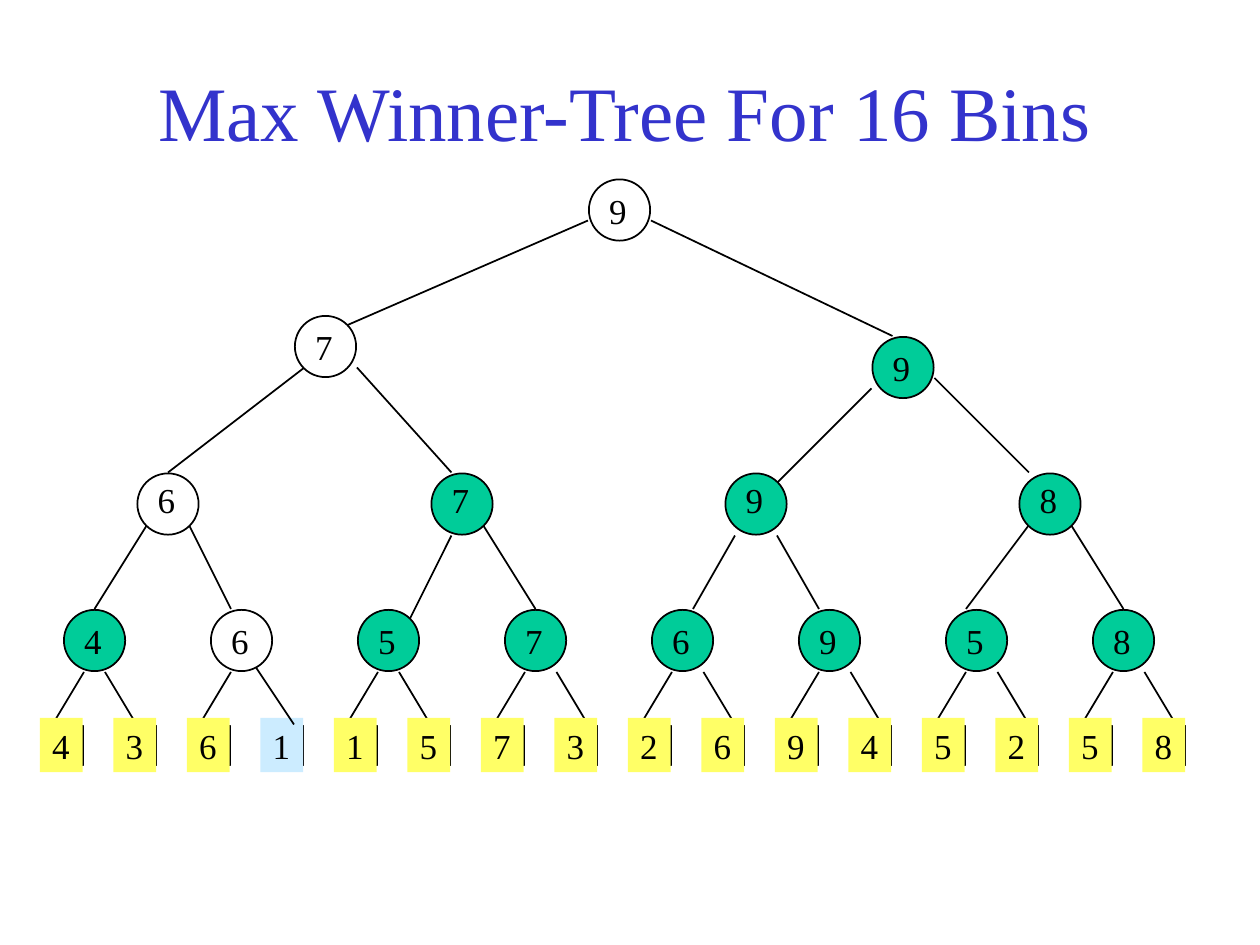
from typing import NamedTuple

from lxml import etree
from pptx import Presentation
from pptx.dml.color import RGBColor
from pptx.enum.shapes import MSO_CONNECTOR, MSO_SHAPE
from pptx.enum.text import MSO_ANCHOR, MSO_AUTO_SIZE, PP_ALIGN
from pptx.oxml.ns import qn
from pptx.util import Pt

OVAL, RECT = MSO_SHAPE.OVAL, MSO_SHAPE.RECTANGLE
STRAIGHT = MSO_CONNECTOR.STRAIGHT
TOP, MIDDLE = MSO_ANCHOR.TOP, MSO_ANCHOR.MIDDLE
LEFT, CENTER = PP_ALIGN.LEFT, PP_ALIGN.CENTER
GROW = MSO_AUTO_SIZE.SHAPE_TO_FIT_TEXT
FONT = "Times New Roman"
BLACK, WHITE, BLUE = "000000", "FFFFFF", "3333CC"
GREEN, YELLOW, SKY = "00CC99", "FFFF66", "CCECFF"
NODE, BIN, TAG_W, TAG_H = 35, 23, 24.5, 31
BINS = "4361157326945258"
CHANGED = 3


class Node(NamedTuple):
    text: str
    x: float
    y: float
    fill: str
    drop: float = 2


class Edge(NamedTuple):
    x1: float
    y1: float
    x2: float
    y2: float


NODES = [
    Node("9", 336.5, 102.5, WHITE),
    Node("7", 168.5, 180.5, WHITE),
    Node("9", 498.5, 192.5, GREEN),
]
NODES += [
    Node(text, 78.5 + 168 * i, 270.5, GREEN if i else WHITE, -0.5)
    for i, text in enumerate("6798")
]
NODES += [
    Node(text, 36.5 + 84 * i, 348.5, WHITE if i == 1 else GREEN)
    for i, text in enumerate("46576958")
]

EDGES = [
    Edge(336, 126, 198, 186), Edge(372, 126, 510, 192),
    Edge(174, 210, 96, 270), Edge(204, 210, 258, 270),
    Edge(498, 222, 444, 276), Edge(534, 216, 588, 270),
    Edge(84, 300, 54, 348), Edge(108, 300, 132, 348),
    Edge(258, 306, 234, 354), Edge(276, 300, 306, 348),
    Edge(420, 306, 396, 348), Edge(444, 306, 468, 348),
    Edge(588, 300, 552, 348), Edge(612, 300, 642, 348),
    Edge(144, 378, 168, 414),
]
EDGES += [Edge(48 + 84 * i, 384, 30 + 84 * i, 414) for i in range(8)]
EDGES += [
    Edge(x, 384, x + 18, 414)
    for x in (60 + 84 * i + (6 if i > 2 else 0) for i in range(8) if i != 1)
]


def color(code: str) -> RGBColor:
    return RGBColor.from_string(code)


def shape(shapes, kind, x: float, y: float, size: float, fill: str) -> None:
    item = shapes.add_shape(kind, Pt(x), Pt(y), Pt(size), Pt(size))
    item.shadow.inherit = False
    item.fill.solid()
    item.fill.fore_color.rgb = color(fill)
    item.line.color.rgb = color(BLACK)
    item.line.width = Pt(1)


def line(shapes, edge: Edge) -> None:
    item = shapes.add_connector(STRAIGHT, *(Pt(v) for v in edge))
    item.line.color.rgb = color(BLACK)
    item.line.width = Pt(1)
    etree.SubElement(item._element.spPr, qn("a:effectLst"))


def label(shapes, text: str, x: float, y: float, w: float, h: float,
          size: float, ink: str, align, anchor):
    box = shapes.add_textbox(Pt(x), Pt(y), Pt(w), Pt(h))
    frame = box.text_frame
    frame.text = text
    frame.vertical_anchor = anchor
    para = frame.paragraphs[0]
    para.alignment = align
    font = para.runs[0].font
    font.name, font.size = FONT, Pt(size)
    font.color.rgb = color(ink)
    return box


def tag(shapes, text: str, x: float, y: float, fill: str = "") -> None:
    box = label(shapes, text, x, y, TAG_W, TAG_H, 20, BLACK, LEFT, TOP)
    box.text_frame.word_wrap = False
    box.text_frame.auto_size = GROW
    if fill:
        box.fill.solid()
        box.fill.fore_color.rgb = color(fill)


def main() -> None:
    """Build the winner-tree slide."""
    deck = Presentation()
    deck.slide_width, deck.slide_height = Pt(720), Pt(540)
    shapes = deck.slides.add_slide(deck.slide_layouts[6]).shapes

    title = label(shapes, "Max Winner-Tree For 16 Bins", 6, 18, 702, 90,
                  44, BLUE, CENTER, MIDDLE)
    title.text_frame.word_wrap = True

    for i in range(len(BINS)):
        fill = WHITE if i == CHANGED else YELLOW
        shape(shapes, RECT, 24.5 + 42 * i, 414.5, BIN, fill)
    tag(shapes, BINS[CHANGED], 22.75 + 42 * CHANGED, 410.25, SKY)

    for edge in EDGES:
        line(shapes, edge)
    for node in NODES:
        shape(shapes, OVAL, node.x, node.y, NODE, node.fill)
        tag(shapes, node.text, node.x + 4.5, node.y + node.drop)
    for i, text in enumerate(BINS):
        if i != CHANGED:
            tag(shapes, text, 22.75 + 42 * i, 410.25, YELLOW)

    deck.save("out.pptx")


if __name__ == "__main__":
    main()
